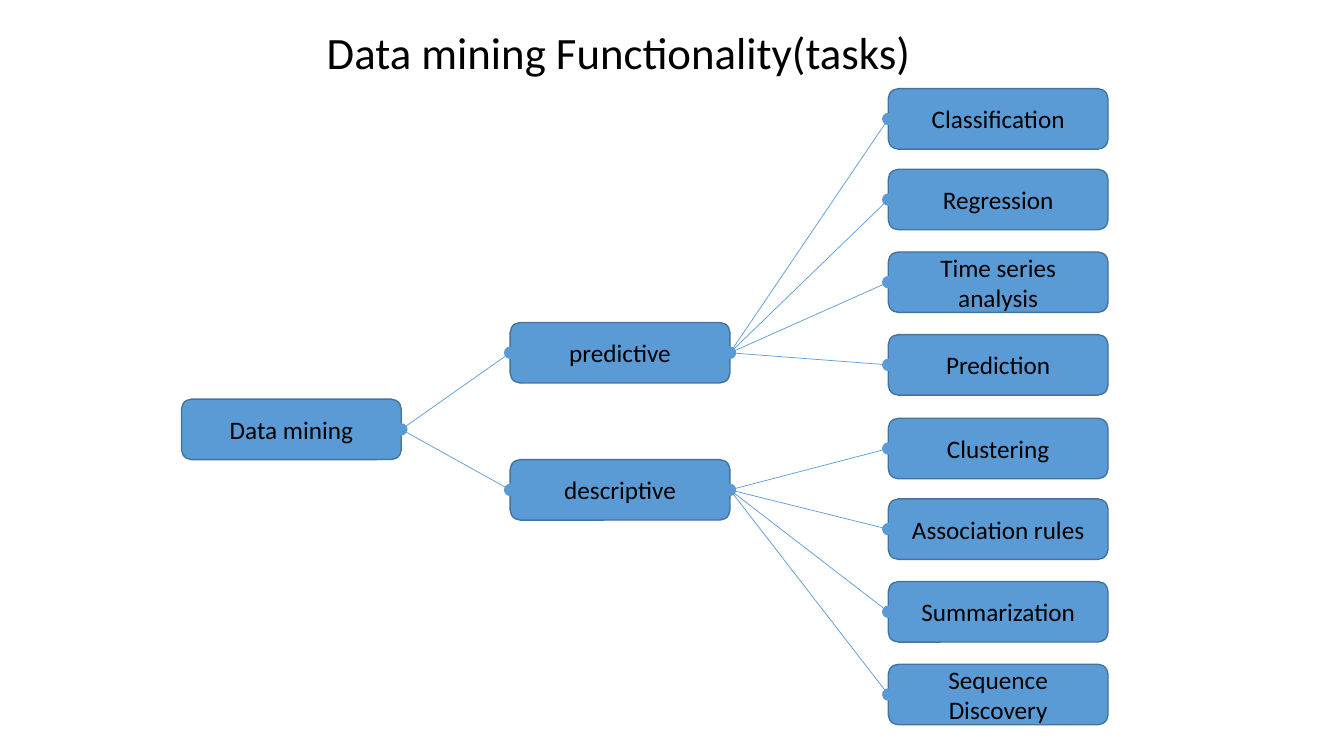
from lxml import etree
from pptx import Presentation
from pptx import util as u
from pptx.dml.color import RGBColor
from pptx.enum import shapes, text
from pptx.oxml.ns import qn

COLOURS = {"fill": "5B9BD5", "edge": "43739E", "ink": "000000"}
BOX_WIDTH, BOX_HEIGHT, DOT_SIZE = 2.18, 0.6, 0.11
ROOT_LEFT, BRANCH_LEFT, LEAF_LEFT = 1.8, 5.06, 8.81
ROOT_TOP = 3.96
LEAF_OFFSETS = (0, 0.8, 1.62, 2.44)

# Branch name, branch top, top of its first leaf, leaf names
BRANCHES = [
    ("predictive", 3.2, 0.88,
     ["Classification", "Regression", "Time series analysis", "Prediction"]),
    ("descriptive", 4.56, 4.15,
     ["Clustering", "Association rules", "Summarization", "Sequence Discovery"]),
]


class TreeSlide:
    def __init__(self, page, font="Calibri"):
        self.page = page
        self.font = font

    def colour(self, name):
        return RGBColor.from_string(COLOURS[name])

    def set_text(self, frame, wording, size, align):
        frame.text = wording
        frame.word_wrap = True
        para = frame.paragraphs[0]
        para.alignment = align
        span = para.runs[0]
        span.font.name = self.font
        span.font.size = u.Pt(size)
        span.font.color.rgb = self.colour("ink")

    def title(self, wording, left, top, width, height):
        box = self.page.shapes.title
        box.left, box.top = u.Inches(left), u.Inches(top)
        box.width, box.height = u.Inches(width), u.Inches(height)
        frame = box.text_frame
        self.set_text(frame, wording, 32, text.PP_ALIGN.LEFT)
        frame.vertical_anchor = text.MSO_ANCHOR.TOP
        frame.auto_size = text.MSO_AUTO_SIZE.NONE

    def shape(self, kind, left, top, width, height, edge):
        shape = self.page.shapes.add_shape(
            kind, u.Inches(left), u.Inches(top), u.Inches(width), u.Inches(height))
        shape.shadow.inherit = False
        shape.fill.solid()
        shape.fill.fore_color.rgb = self.colour("fill")
        shape.line.color.rgb = self.colour(edge)
        shape.line.width = u.Pt(1)
        return shape

    def box(self, wording, left, top):
        box = self.shape(shapes.MSO_SHAPE.ROUNDED_RECTANGLE,
                         left, top, BOX_WIDTH, BOX_HEIGHT, "edge")
        self.set_text(box.text_frame, wording, 18, text.PP_ALIGN.CENTER)
        box.text_frame.vertical_anchor = text.MSO_ANCHOR.MIDDLE

    def dot(self, x, y):
        self.shape(shapes.MSO_SHAPE.OVAL, x - DOT_SIZE / 2, y - DOT_SIZE / 2,
                   DOT_SIZE, DOT_SIZE, "fill")

    def line(self, start, end):
        line = self.page.shapes.add_connector(
            shapes.MSO_CONNECTOR.STRAIGHT, *map(u.Inches, start + end))
        line.line.color.rgb = self.colour("fill")
        line.line.width = u.Pt(0.5)
        etree.SubElement(line._element.spPr, qn("a:effectLst"))


def left_joint(left, top):
    return left, top + BOX_HEIGHT / 2


def right_joint(left, top):
    return left + BOX_WIDTH, top + BOX_HEIGHT / 2


def main():
    deck = Presentation()
    deck.slide_width, deck.slide_height = u.Inches(13.33), u.Inches(7.5)
    page = deck.slides.add_slide(deck.slide_layouts.get_by_name("Title Only"))
    tree = TreeSlide(page)
    tree.title("Data mining Functionality(tasks)", 3.14, 0.19, 8.9, 0.64)

    boxes = [("Data mining", ROOT_LEFT, ROOT_TOP)]
    lines = []
    for branch, branch_top, first_top, leaves in BRANCHES:
        boxes.append((branch, BRANCH_LEFT, branch_top))
        lines.append((right_joint(ROOT_LEFT, ROOT_TOP),
                      left_joint(BRANCH_LEFT, branch_top)))
        for leaf, offset in zip(leaves, LEAF_OFFSETS):
            leaf_top = first_top + offset
            boxes.append((leaf, LEAF_LEFT, leaf_top))
            lines.append((right_joint(BRANCH_LEFT, branch_top),
                          left_joint(LEAF_LEFT, leaf_top)))

    for start, end in lines:
        tree.line(start, end)
    for wording, left, top in boxes:
        tree.box(wording, left, top)
    joints = dict.fromkeys(joint for ends in lines for joint in ends)
    for x, y in joints:
        tree.dot(x, y)

    deck.save("out.pptx")


if __name__ == "__main__":
    main()
